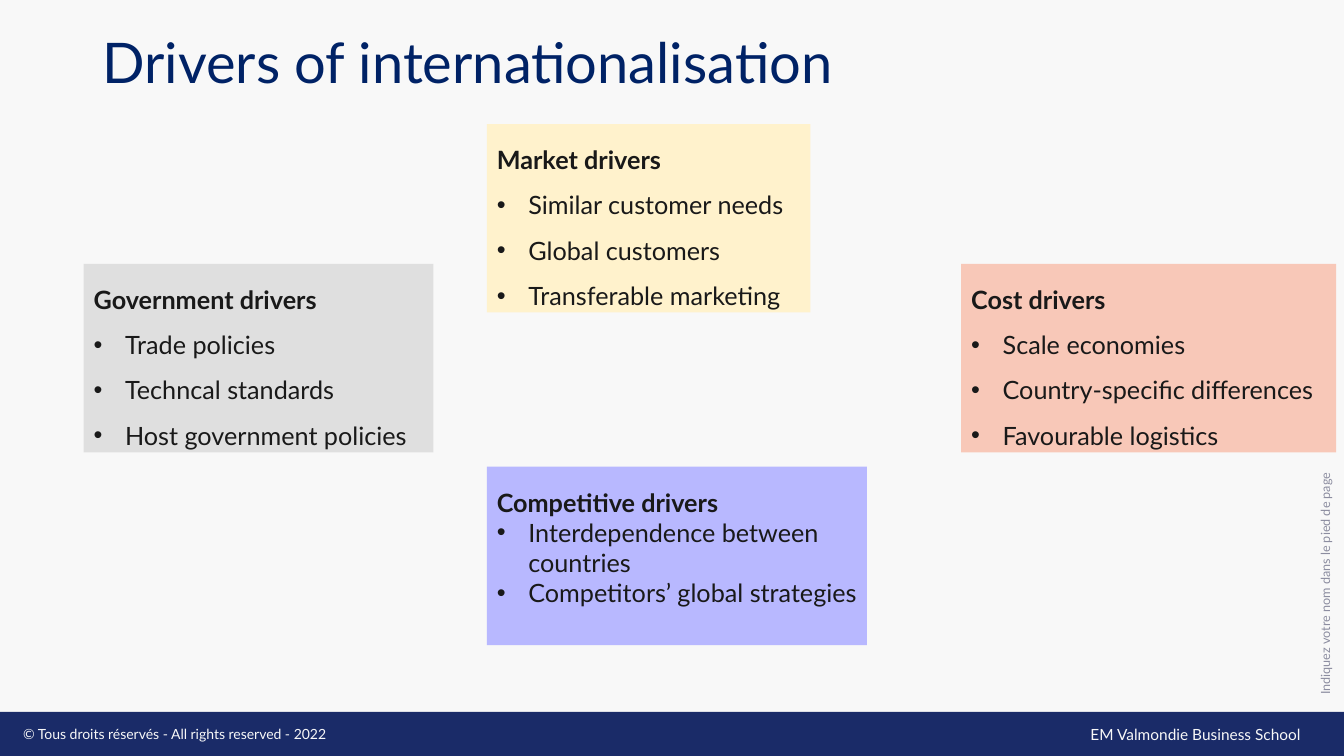
from lxml import etree
from pptx import Presentation
from pptx import util as u
from pptx.dml.color import RGBColor
from pptx.enum import shapes, text
from pptx.oxml.ns import qn

COLOURS = {
    "background": "F8F8F8",
    "footer": "1A2B68",
    "title": "002266",
    "ink": "191919",
    "muted": "8C8DA0",
    "market": "FFF2CC",
    "competitive": "B8B8FF",
    "cost": "F8C8B8",
    "government": "DFDFDF",
}


class SlideBuilder:
    font_name = "Lato"
    bullet_indent = 22.5

    def __init__(self, presentation):
        self.slide = presentation.slides.add_slide(presentation.slide_layouts[6])
        fill = self.slide.background.fill
        fill.solid()
        fill.fore_color.rgb = self.colour("background")

    def colour(self, name):
        return RGBColor.from_string(COLOURS[name])

    def style(self, paragraph, size, colour, bold=False, spacing=1.0):
        paragraph.alignment = text.PP_ALIGN.LEFT
        paragraph.line_spacing = spacing
        for run in paragraph.runs:
            run.font.name = self.font_name
            run.font.size = u.Pt(size)
            run.font.bold = bold
            run.font.color.rgb = self.colour(colour)

    def bullet(self, paragraph):
        properties = paragraph._p.get_or_add_pPr()
        indent = u.Pt(self.bullet_indent)
        properties.set("marL", str(indent))
        properties.set("indent", str(-indent))
        etree.SubElement(properties, qn("a:buFont")).set("typeface", "Arial")
        etree.SubElement(properties, qn("a:buChar")).set("char", "•")

    def rectangle(self, left, top, width, height, colour):
        shape = self.slide.shapes.add_shape(
            shapes.MSO_SHAPE.RECTANGLE, u.Pt(left), u.Pt(top), u.Pt(width), u.Pt(height))
        shape.shadow.inherit = False
        shape.fill.solid()
        shape.fill.fore_color.rgb = self.colour(colour)
        shape.line.fill.background()
        return shape

    def label(self, content, left, top, width, height, size, colour, middle=False, spacing=1.0):
        shape = self.slide.shapes.add_textbox(u.Pt(left), u.Pt(top), u.Pt(width), u.Pt(height))
        frame = shape.text_frame
        frame.word_wrap = True
        if middle:
            frame.vertical_anchor = text.MSO_ANCHOR.MIDDLE
        frame.text = content
        self.style(frame.paragraphs[0], size, colour, spacing=spacing)
        return frame

    def upward_label(self, *arguments):
        frame = self.label(*arguments, middle=True)
        frame.margin_left = frame.margin_right = 0
        frame._txBody.bodyPr.set("vert", "vert270")

    def drivers(self, left, top, width, height, colour, heading, items, wrap=False, item_spacing=1.5):
        frame = self.rectangle(left, top, width, height, colour).text_frame
        frame.word_wrap = wrap
        frame.auto_size = text.MSO_AUTO_SIZE.SHAPE_TO_FIT_TEXT
        frame.vertical_anchor = text.MSO_ANCHOR.TOP
        frame.text = "\n".join([heading, *items])
        title, *bullets = frame.paragraphs
        self.style(title, 18, "ink", bold=True, spacing=1.5)
        for paragraph in bullets:
            self.style(paragraph, 18, "ink", spacing=item_spacing)
            self.bullet(paragraph)


def main():
    presentation = Presentation()
    presentation.slide_width = u.Pt(960)
    presentation.slide_height = u.Pt(540)
    builder = SlideBuilder(presentation)

    builder.rectangle(0, 508.4, 960, 31.6, "footer")
    builder.label("EM Valmondie Business School", 771.8, 514.1, 176.4, 20.9, 11, "background")
    rights = builder.label("© Tous droits réservés - All rights reserved - 2022",
                           7.2, 514.8, 320.4, 19.4, 10, "background")
    rights.margin_left = u.Pt(9.3)
    builder.label("Drivers of internationalisation", 66.2, 20.9, 828, 51.1, 40, "title",
                  middle=True, spacing=0.9)
    builder.upward_label("Indiquez votre nom dans le pied de page", 938.2, 35.3, 16.6, 468, 9, "muted")

    centre_left, side_top, box_height = 347.8, 188.6, 134.6
    builder.drivers(centre_left, 88.6, 231.1, box_height, "market", "Market drivers",
                    ["Similar customer needs", "Global customers", "Transferable marketing"])
    builder.drivers(centre_left, 333.4, 271.4, 127.4, "competitive", "Competitive drivers",
                    ["Interdependence between countries", "Competitors’ global strategies"],
                    wrap=True, item_spacing=1.0)
    builder.drivers(686.6, side_top, 267.8, box_height, "cost", "Cost drivers",
                    ["Scale economies", "Country-specific differences", "Favourable logistics"])
    builder.drivers(59.8, side_top, 249.8, box_height, "government", "Government drivers",
                    ["Trade policies", "Techncal standards", "Host government policies"])

    presentation.save("out.pptx")


if __name__ == "__main__":
    main()
